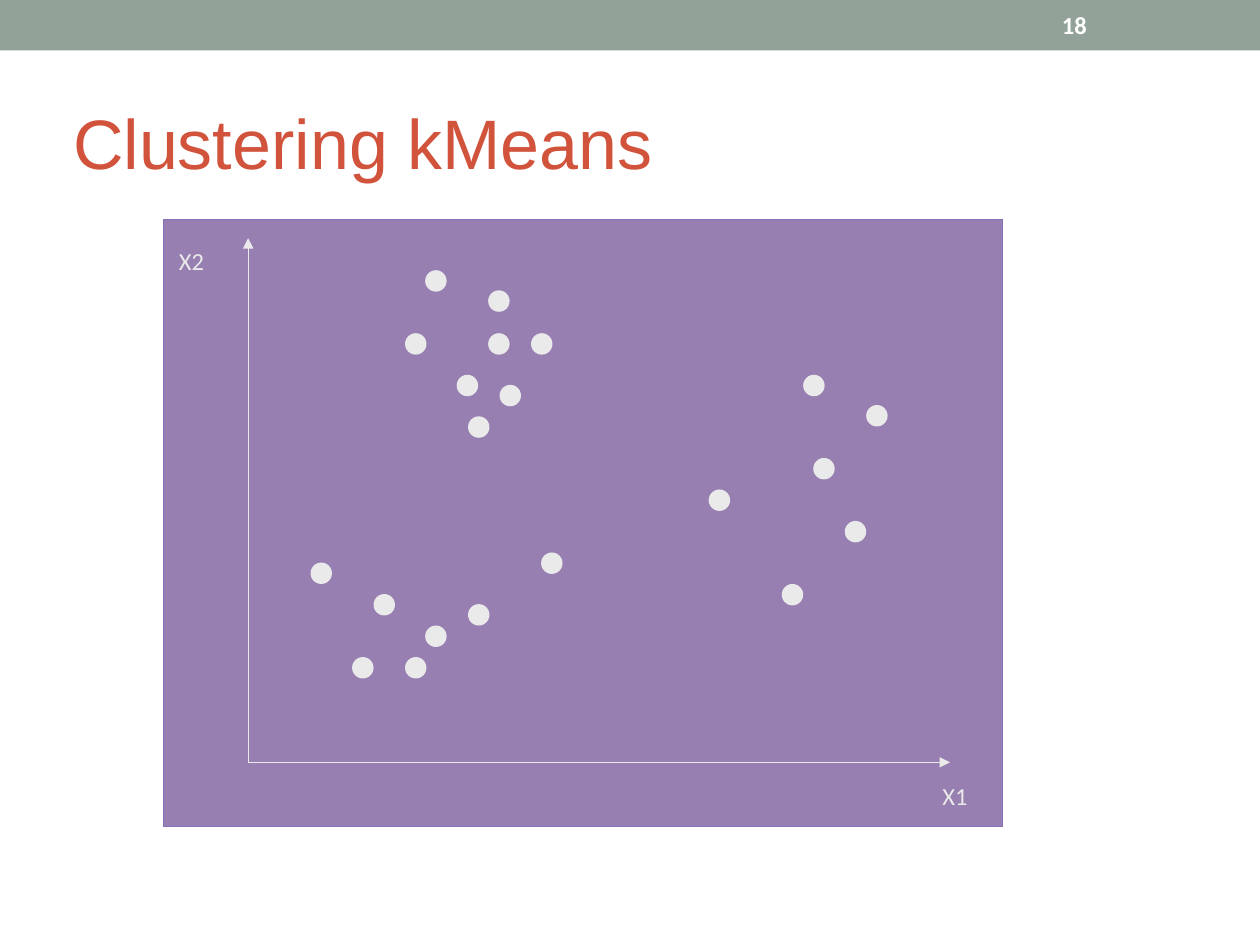
from lxml import etree
from pptx import Presentation
from pptx.dml.color import RGBColor
from pptx.enum.shapes import MSO_CONNECTOR, MSO_SHAPE
from pptx.enum.text import MSO_ANCHOR, PP_ALIGN
from pptx.oxml.ns import qn
from pptx.util import Inches, Pt

RECT, OVAL = MSO_SHAPE.RECTANGLE, MSO_SHAPE.OVAL
STRAIGHT = MSO_CONNECTOR.STRAIGHT
MIDDLE, TOP = MSO_ANCHOR.MIDDLE, MSO_ANCHOR.TOP
LEFT, CENTER = PP_ALIGN.LEFT, PP_ALIGN.CENTER

SAGE = RGBColor(0x93, 0xA2, 0x99)
RUST = RGBColor(0xD2, 0x53, 0x3C)
WHITE = RGBColor(0xFF, 0xFF, 0xFF)
PURPLE = RGBColor(0x33, 0x00, 0x66)
LILAC = RGBColor(0x88, 0x71, 0xBB)
PALE = RGBColor(0xEA, 0xEA, 0xEA)

TITLE = "Clustering kMeans"
PAGE = "18"
ORIGIN = (1.97, 6.05)
AXIS_ENDS = [(1.97, 1.89), (7.54, 6.05)]
AXIS_LABELS = [("X1", 7.38, 6.15), ("X2", 1.32, 1.9)]
DOT = 0.16
# Left and top of each dot, by cluster
CLUSTERS = {
    "upper left": [(3.38, 2.15), (3.22, 2.65), (3.88, 2.31), (3.88, 2.65),
                   (3.63, 2.98), (3.97, 3.06), (4.22, 2.65), (3.72, 3.31)],
    "lower left": [(2.97, 4.72), (2.8, 5.22), (3.22, 5.22), (3.38, 4.97),
                   (3.72, 4.8), (2.47, 4.47), (4.3, 4.39)],
    "right": [(6.38, 2.98), (6.88, 3.22), (6.46, 3.64), (6.71, 4.14),
              (6.21, 4.64), (5.63, 3.89)],
}


def add_shape(shapes, kind, box, fill, line=None):
    sp = shapes.add_shape(kind, *map(Inches, box))
    sp.shadow.inherit = False
    sp.fill.solid()
    sp.fill.fore_color.rgb = fill
    if line is None:
        sp.line.fill.background()
    else:
        sp.line.color.rgb = line
        sp.line.width = Pt(0.75)
    return sp


def set_text(sp, text, size, color, font="Calibri", bold=False, align=LEFT, anchor=MIDDLE):
    tf = sp.text_frame
    tf.text = text
    tf.vertical_anchor = anchor
    p = tf.paragraphs[0]
    p.alignment = align
    p.font.name, p.font.size, p.font.bold = font, Pt(size), bold
    p.font.color.rgb = color
    return tf


def add_axis(shapes, start, end):
    axis = shapes.add_connector(STRAIGHT, *map(Inches, start + end))
    axis.line.color.rgb = PALE
    axis.line.width = Pt(0.75)
    etree.SubElement(axis.line._get_or_add_ln(), qn("a:tailEnd"), type="triangle")
    etree.SubElement(axis._element.spPr, qn("a:effectLst"))


def set_alpha(sp, percent):
    color = sp._element.spPr.find(qn("a:solidFill"))[0]
    etree.SubElement(color, qn("a:alpha"), val=str(percent * 1000))


def main():
    prs = Presentation()
    prs.slide_width, prs.slide_height = Inches(10), Inches(7.5)
    slide = prs.slides.add_slide(prs.slide_layouts[5])

    title = slide.shapes.title
    title.left, title.top, title.width, title.height = map(Inches, (0.5, 0.58, 9, 1.08))
    tf = set_text(title, TITLE, 40, RUST, font="Arial")
    tf.margin_left = Inches(0.08)

    add_shape(slide.shapes, RECT, (0, 0, 10, 0.4), SAGE)
    number = slide.shapes.add_textbox(*map(Inches, (8.33, 0.02, 1.17, 0.36)))
    set_text(number, PAGE, 14, WHITE, bold=True).word_wrap = True

    plot = slide.shapes.add_group_shape().shapes
    panel = add_shape(plot, RECT, (1.3, 1.74, 6.66, 4.82), PURPLE, LILAC)
    set_alpha(panel, 50)
    for end in AXIS_ENDS:
        add_axis(plot, ORIGIN, end)
    for dots in CLUSTERS.values():
        for x, y in dots:
            add_shape(plot, OVAL, (x, y, DOT, DOT), PALE, PALE)
    for text, x, y in AXIS_LABELS:
        label = plot.add_textbox(*map(Inches, (x, y, 0.4, 0.34)))
        set_text(label, text, 14, PALE, align=CENTER, anchor=TOP).word_wrap = False

    prs.save("out.pptx")


if __name__ == "__main__":
    main()
